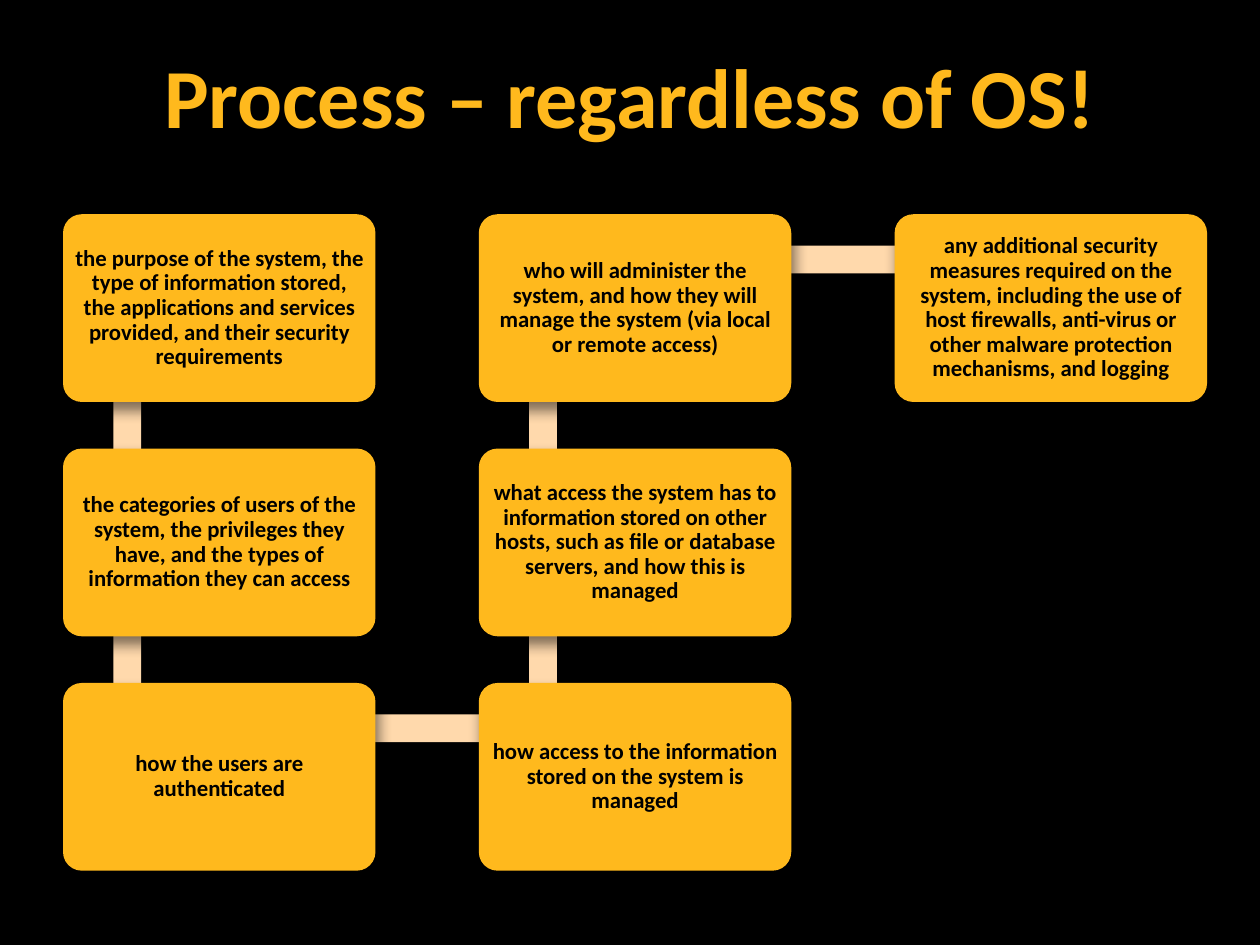
"""Builds a slide with a snaking chain of system security planning questions."""
import math
from typing import NamedTuple

from lxml import etree
from pptx import Presentation
from pptx import util as u
from pptx.dml.color import RGBColor
from pptx.enum import shapes, text
from pptx.oxml.ns import qn

BLACK = RGBColor(0x00, 0x00, 0x00)
AMBER = RGBColor(0xFF, 0xB9, 0x1D)
PEACH = RGBColor(0xFF, 0xD9, 0xAC)

SLIDE_WIDTH, SLIDE_HEIGHT = 10, 7.5
GRID_LEFT, GRID_TOP = 0.5, 1.7
COLUMN_STEP, ROW_STEP = 3.3, 1.86
BOX_WIDTH, BOX_HEIGHT = 2.48, 1.49
ANCHOR_X, ANCHOR_Y = 0.51, 0.36
BAR_THICKNESS = 0.22
INSET = 0.05


class Step(NamedTuple):
    """A question and its cell in the grid."""
    column: int
    row: int
    words: str

    @property
    def left(self) -> float:
        return GRID_LEFT + self.column * COLUMN_STEP

    @property
    def top(self) -> float:
        return GRID_TOP + self.row * ROW_STEP


STEPS = [
    Step(0, 0, "the purpose of the system, the type of information stored, the applications "
               "and services provided, and their security requirements"),
    Step(0, 1, "the categories of users of the system, the privileges they have, and the "
               "types of information they can access"),
    Step(0, 2, "how the users are authenticated"),
    Step(1, 2, "how access to the information stored on the system is managed"),
    Step(1, 1, "what access the system has to information stored on other hosts, such as "
               "file or database servers, and how this is managed"),
    Step(1, 0, "who will administer the system, and how they will manage the system "
               "(via local or remote access)"),
    Step(2, 0, "any additional security measures required on the system, including the use "
               "of host firewalls, anti-virus or other malware protection mechanisms, and logging"),
]


def apply(target, **values) -> None:
    """Set each given attribute on the target."""
    for name, value in values.items():
        setattr(target, name, value)


def write(frame, words: str, size: int, colour: RGBColor, **layout) -> None:
    """Put one bold, centred paragraph in a text frame."""
    apply(frame, word_wrap=True, vertical_anchor=text.MSO_ANCHOR.MIDDLE, **layout)
    para = frame.paragraphs[0]
    para.alignment = text.PP_ALIGN.CENTER
    span = para.add_run()
    span.text = words
    apply(span.font, name="Calibri", size=u.Pt(size), bold=True)
    span.font.color.rgb = colour


def add_block(page, kind, left: float, top: float, width: float, height: float, colour: RGBColor):
    """Draw a filled shape with a soft drop shadow."""
    block = page.shapes.add_shape(kind, *map(u.Inches, (left, top, width, height)))
    block.fill.solid()
    block.fill.fore_color.rgb = colour
    block.line.fill.background()
    block.shadow.inherit = False
    effects = block._element.spPr.find(qn("a:effectLst"))
    shadow = etree.SubElement(effects, qn("a:outerShdw"), blurRad=str(u.Pt(8)),
                              dist=str(u.Pt(5)), dir=str(70 * 60000), rotWithShape="0")
    shade = etree.SubElement(shadow, qn("a:srgbClr"), val=str(BLACK))
    etree.SubElement(shade, qn("a:alpha"), val="50000")
    return block


def add_bar(page, start: Step, end: Step) -> None:
    """Join the anchor points of two steps with a turned bar."""
    across, down = end.left - start.left, end.top - start.top
    length = math.hypot(across, down)
    middle_x = start.left + ANCHOR_X + across / 2
    middle_y = start.top + ANCHOR_Y + down / 2
    bar = add_block(page, shapes.MSO_SHAPE.RECTANGLE, middle_x - length / 2,
                    middle_y - BAR_THICKNESS / 2, length, BAR_THICKNESS, PEACH)
    bar.rotation = math.degrees(math.atan2(down, across)) % 360


def add_step(page, step: Step) -> None:
    """Draw the rounded box of a step with its words."""
    box = add_block(page, shapes.MSO_SHAPE.ROUNDED_RECTANGLE, step.left, step.top,
                    BOX_WIDTH, BOX_HEIGHT, AMBER)
    box.adjustments[0] = 0.1
    sides = ("margin_left", "margin_top", "margin_right", "margin_bottom")
    write(box.text_frame, step.words, 13, BLACK, **dict.fromkeys(sides, u.Inches(INSET)))
    box.text_frame.paragraphs[0].line_spacing = 0.9


def main() -> None:
    """Build and save the deck."""
    deck = Presentation()
    apply(deck, slide_width=u.Inches(SLIDE_WIDTH), slide_height=u.Inches(SLIDE_HEIGHT))
    page = deck.slides.add_slide(deck.slide_layouts.get_by_name("Title Only"))
    page.background.fill.solid()
    page.background.fill.fore_color.rgb = BLACK

    title = page.shapes.title
    apply(title, left=0, top=0, width=deck.slide_width, height=deck.slide_height // 5)
    write(title.text_frame, "Process – regardless of OS!", 48, AMBER)

    for step, following in zip(STEPS, STEPS[1:] + [None]):
        if following:
            add_bar(page, step, following)
        add_step(page, step)
    deck.save("out.pptx")


if __name__ == "__main__":
    main()
